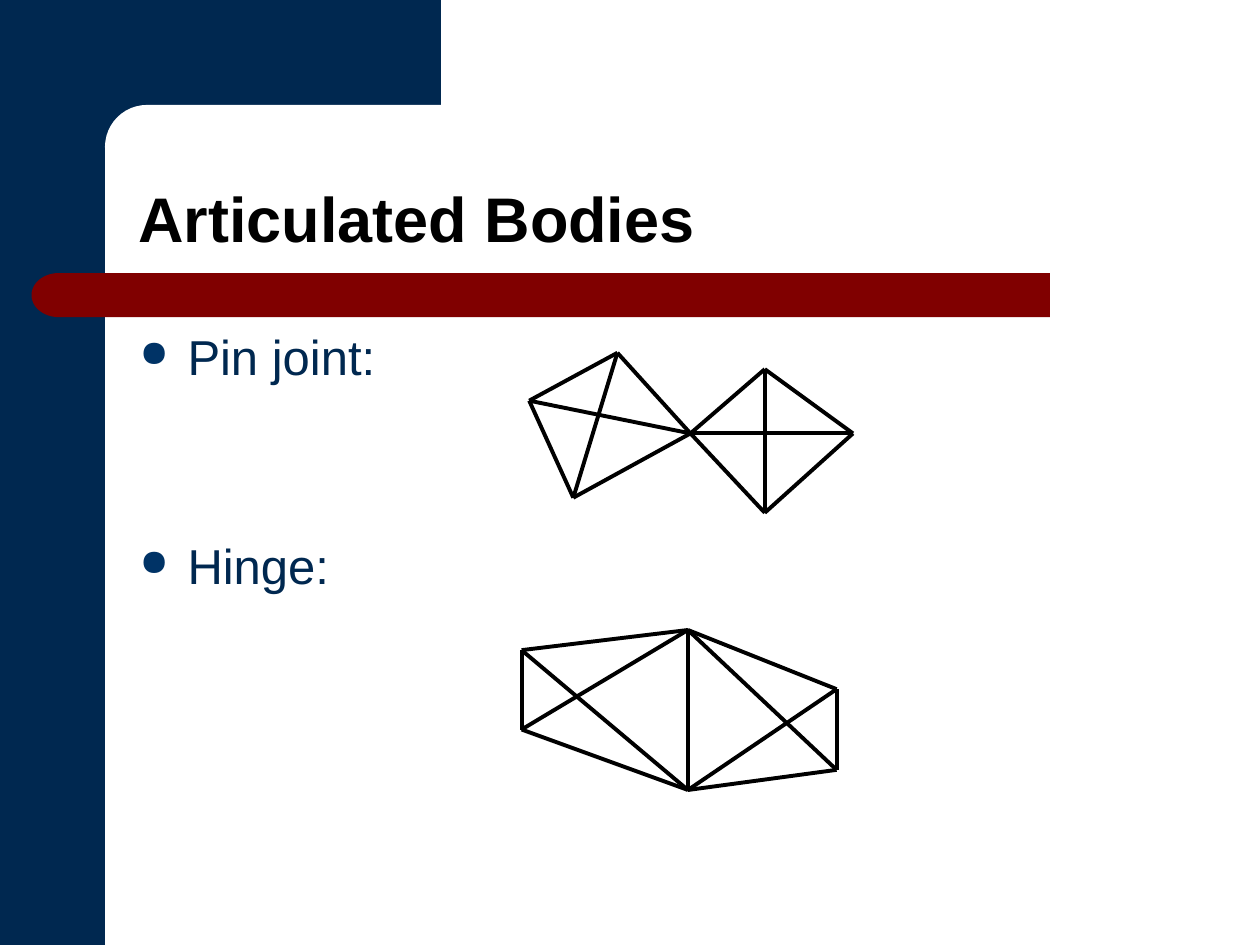
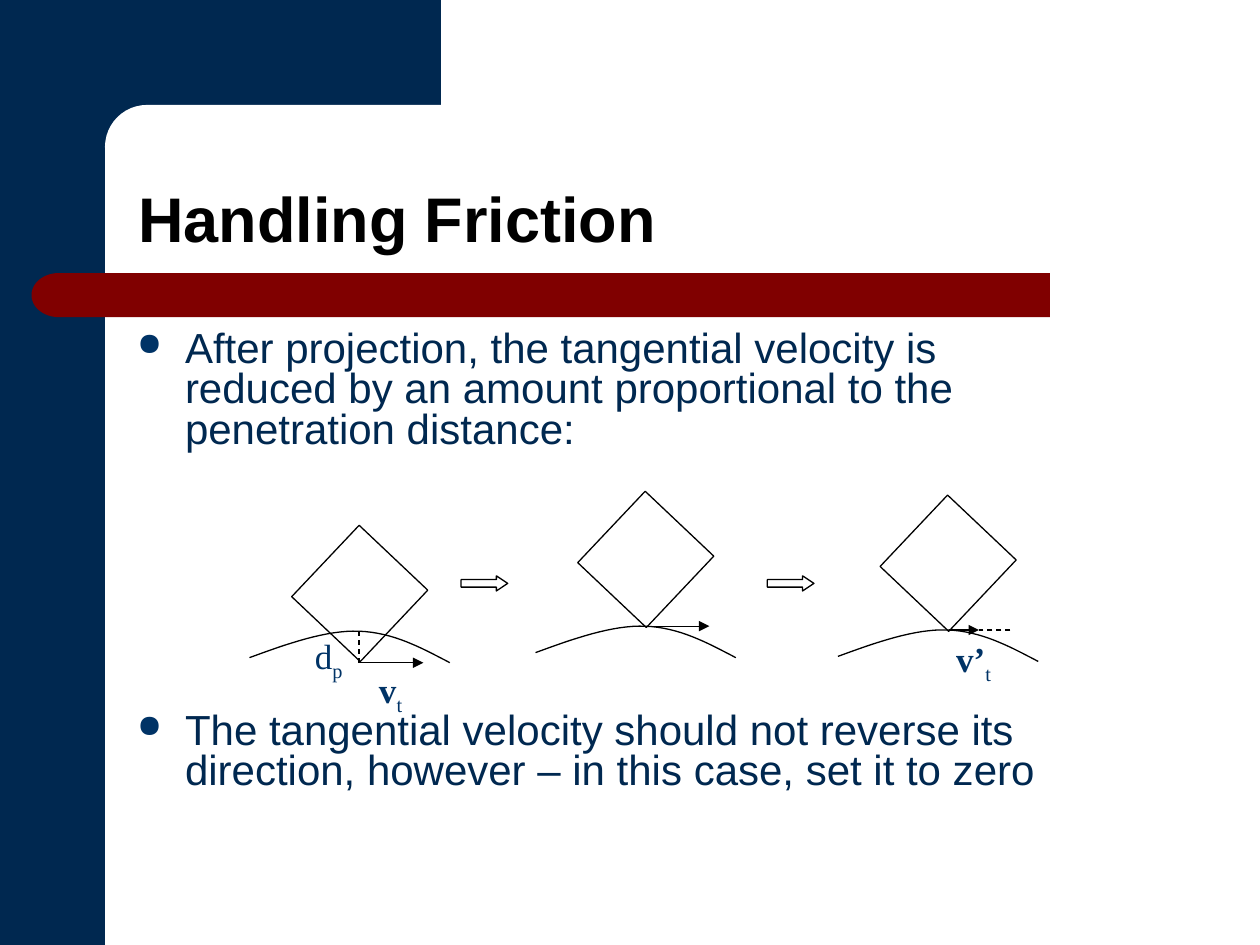
from dataclasses import dataclass
from itertools import combinations
from typing import NamedTuple

from lxml.etree import SubElement as Sub
from pptx import Presentation
from pptx.dml.color import RGBColor
from pptx.enum.dml import MSO_LINE as Dash
from pptx.enum.shapes import MSO_CONNECTOR as Link, MSO_SHAPE as Kind
from pptx.enum.text import MSO_ANCHOR as Anchor
from pptx.oxml.ns import qn
from pptx.util import Inches, Pt

NAVY = RGBColor(0x00, 0x28, 0x50)
BLUE = RGBColor(0x00, 0x33, 0x66)
MAROON = RGBColor(0x80, 0x00, 0x00)
BLACK = RGBColor(0x00, 0x00, 0x00)
WHITE = RGBColor(0xFF, 0xFF, 0xFF)
SANS, SERIF = "Arial", "Times New Roman"
WIDE, HIGH = Inches(10), Inches(7.5)
COL, ROW = WIDE / 100, HIGH / 75


class Point(NamedTuple):
    x: float
    y: float


class Box(NamedTuple):
    x: float
    y: float
    w: float
    h: float


class Run(NamedTuple):
    text: str
    bold: bool = False
    base: int = 0


@dataclass
class Band:
    kind: Kind
    box: Box
    fill: RGBColor
    turn: float = 0
    round: float | None = None


@dataclass
class Scene:
    curve: Point
    block: float
    tip: float
    reach: float


@dataclass
class Label:
    box: Box
    runs: tuple[Run, ...]


BANDS = (
    Band(Kind.RECTANGLE, Box(0, 0, 8.33, 75), NAVY),
    Band(Kind.RECTANGLE, Box(7.5, 0, 27.5, 8.33), NAVY),
    Band(Kind.RECTANGLE, Box(7.5, 8.3, 27.5, 3.4), NAVY),
    Band(Kind.ROUNDED_RECTANGLE, Box(8.33, 8.33, 55.8, 6.67), WHITE, round=0.5),
    Band(Kind.RECTANGLE, Box(6.7, 21.67, 76.63, 3.5), MAROON),
    Band(Kind.FLOWCHART_DELAY, Box(2.5, 21.67, 4.3, 3.5), MAROON, turn=180),
)

PIN = Point(54.8, 34.4)
TOP, FOOT = Point(54.6, 50), Point(54.6, 62.7)
BODIES = (
    (PIN, Point(49, 28), Point(45.5, 39.5), Point(42, 31.8)),
    (PIN, Point(60.7, 29.3), Point(60.7, 40.7), Point(67.7, 34.4)),
    (TOP, FOOT, Point(41.4, 57.9), Point(41.4, 51.6)),
    (TOP, FOOT, Point(66.4, 54.7), Point(66.4, 61.1)),
)

ARCS = (
    (Point(0, 2.2), Point(3, 1.1), Point(6.1, 0), Point(8.7, 0.1)),
    (Point(8.7, 0.1), Point(11.4, 0.2), Point(13.6, 1.4), Point(15.9, 2.6)),
)
SCENES = (
    Scene(Point(19.8, 50), 43.2, 52.6, 5),
    Scene(Point(42.5, 49.6), 40.5, 49.7, 5),
    Scene(Point(66.5, 49.9), 40.8, 50, 2.4),
)
DASHES = (
    (Point(28.5, 52.6), Point(28.5, 50.1)),
    (Point(80.2, 50), Point(77.7, 50)),
)
LABELS = (
    Label(Box(29.1, 52.6, 5.3, 4.7), (Run("v", True), Run("t", base=-25))),
    Label(Box(74.9, 50.1, 5.3, 4.7), (Run("v’", True), Run("t", base=-25))),
    Label(Box(24, 49.9, 6.5, 5.3), (Run("d"), Run("p", base=-25))),
)


def place(x: float, y: float) -> tuple[int, int]:
    return round(x * COL), round(y * ROW)


def draw(slide, kind: Kind, box: Box, fill: RGBColor | None = None,
         edge: RGBColor | None = None, turn: float = 0):
    shape = slide.shapes.add_shape(kind, *place(box.x, box.y), *place(box.w, box.h))
    paint(shape, fill, edge)
    shape.rotation = turn
    return shape


def paint(shape, fill: RGBColor | None, edge: RGBColor | None) -> None:
    shape.shadow.inherit = False
    if fill is None:
        shape.fill.background()
    else:
        shape.fill.solid()
        shape.fill.fore_color.rgb = fill
    if edge is None:
        shape.line.fill.background()
    else:
        shape.line.color.rgb = edge
        shape.line.width = Pt(0.75)


def join(slide, start: Point, end: Point, width: float = 0.75,
         dash: bool = False, arrow: bool = False) -> None:
    link = slide.shapes.add_connector(Link.STRAIGHT, *place(*start), *place(*end))
    link.line.color.rgb = BLACK
    link.line.width = Pt(width)
    if dash:
        link.line.dash_style = Dash.DASH
    props = link._element.spPr
    if arrow:
        Sub(props.find(qn("a:ln")), qn("a:tailEnd"), type="triangle")
    Sub(props, qn("a:effectLst"))


def mark(para) -> None:
    props = para._p.get_or_add_pPr()
    props.set("marL", str(Inches(0.38)))
    props.set("indent", str(-Inches(0.38)))
    Sub(Sub(props, qn("a:buClr")), qn("a:srgbClr"), val=str(BLUE))
    Sub(props, qn("a:buSzPct"), val="75000")
    Sub(props, qn("a:buChar"), char="●")


def write(slide, box: Box, *paras: tuple[Run, ...], size: float, color: RGBColor,
          font: str = SANS, lead: float = 1, gap: float = 0,
          dots: bool = False, anchor: Anchor = Anchor.TOP) -> None:
    shape = slide.shapes.add_textbox(*place(box.x, box.y), *place(box.w, box.h))
    frame = shape.text_frame
    frame.word_wrap = True
    frame.vertical_anchor = anchor
    for i, runs in enumerate(paras):
        para = frame.add_paragraph() if i else frame.paragraphs[0]
        para.line_spacing = lead
        if i:
            para.space_before = Pt(gap)
        if dots:
            mark(para)
        for run in runs:
            part = para.add_run()
            part.text = run.text
            part.font.name = font
            part.font.size = Pt(size)
            part.font.bold = run.bold
            part.font.color.rgb = color
            if run.base:
                part._r.get_or_add_rPr().set("baseline", str(run.base * 1000))


def start(deck, title: str):
    slide = deck.slides.add_slide(deck.slide_layouts[6])
    for band in BANDS:
        shape = draw(slide, band.kind, band.box, band.fill, turn=band.turn)
        if band.round is not None:
            shape.adjustments[0] = band.round
    write(slide, Box(10, 8.33, 87.5, 12.5), (Run(title, True),),
          size=36, color=BLACK, lead=0.9, anchor=Anchor.BOTTOM)
    return slide


def bend(arc: tuple[Point, ...], t: float) -> Point:
    parts = ((1 - t) ** 3, 3 * t * (1 - t) ** 2, 3 * t * t * (1 - t), t ** 3)
    return Point(sum(k * p.x for k, p in zip(parts, arc)),
                 sum(k * p.y for k, p in zip(parts, arc)))


def ground(slide, spot: Point, steps: int = 16) -> None:
    points = [bend(arc, i / steps) for arc in ARCS for i in range(steps + 1)]
    path = [place(spot.x + p.x, spot.y + p.y) for p in points]
    pen = slide.shapes.build_freeform(*path[0])
    pen.add_line_segments(path[1:], close=False)
    paint(pen.convert_to_shape(), None, BLACK)


def joints(deck) -> None:
    slide = start(deck, "Articulated Bodies")
    write(slide, Box(10.1, 25.4, 87.5, 40.8), (Run("Pin joint:"),), (Run("Hinge:"),),
          size=28, color=NAVY, gap=86, dots=True)
    sides = dict.fromkeys(side for body in BODIES for side in combinations(body, 2))
    for side in sides:
        join(slide, *side, width=2.25)


def friction(deck) -> None:
    slide = start(deck, "Handling Friction")
    write(slide, Box(9.9, 25.8, 78.1, 40.8),
          (Run("After projection, the tangential velocity is reduced by an amount "
               "proportional to the penetration distance:"),),
          (Run("The tangential velocity should not reverse its direction, "
               "however – in this case, set it to zero"),),
          size=24, color=NAVY, lead=0.8, gap=149, dots=True)
    for scene in SCENES:
        ground(slide, scene.curve)
        left = scene.curve.x
        draw(slide, Kind.RECTANGLE, Box(left + 5, scene.block, 7.5, 7.8),
             edge=BLACK, turn=43.4)
        tip = Point(left + 8.8, scene.tip)
        join(slide, tip, Point(tip.x + scene.reach, tip.y), arrow=True)
    for dash in DASHES:
        join(slide, *dash, dash=True)
    for x in (36.6, 60.9):
        arrow = draw(slide, Kind.RIGHT_ARROW, Box(x, 45.7, 3.7, 1.2), WHITE, BLACK)
        arrow.adjustments[1] = 0.75
    for label in LABELS:
        write(slide, label.box, label.runs, size=20, color=BLUE, font=SERIF)


def main() -> None:
    deck = Presentation()
    deck.slide_width, deck.slide_height = WIDE, HIGH
    joints(deck)
    friction(deck)
    deck.save("out.pptx")


if __name__ == "__main__":
    main()
